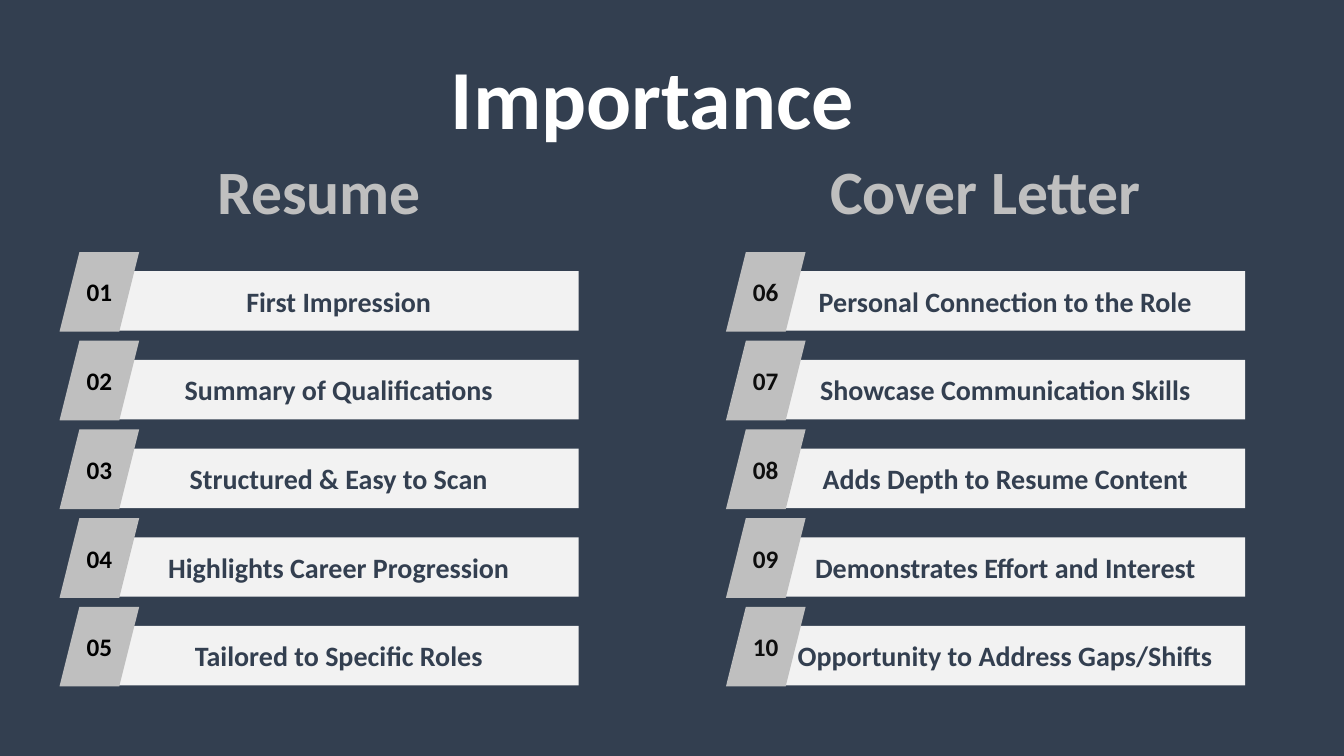
from pptx import Presentation
from pptx.dml.color import RGBColor
from pptx.enum.shapes import MSO_SHAPE
from pptx.enum.text import MSO_ANCHOR, MSO_AUTO_SIZE, PP_ALIGN
from pptx.util import Inches, Pt

# Content: heading, left edge, number colour, points
TITLE = "Importance"
COLUMNS = [
    ("Resume", 0.59, "000000", [
        "First Impression",
        "Summary of Qualifications",
        "Structured & Easy to Scan",
        "Highlights Career Progression",
        "Tailored to Specific Roles",
    ]),
    ("Cover Letter", 7.2, "0D0D0D", [
        "Personal Connection to the Role",
        "Showcase Communication Skills",
        "Adds Depth to Resume Content",
        "Demonstrates Effort and Interest",
        "Opportunity to Address Gaps/Shifts",
    ]),
]

# Colours and measures in inches
NAVY, SILVER, PALE, WHITE = "333F50", "BFBFBF", "F2F2F2", "FFFFFF"
COLUMN_WIDTH = 5.15
FIRST_ROW, ROW_STEP = 2.5, 0.88
TAG_SIZE = 0.79
BAR_INDENT, BAR_DROP, BAR_WIDTH, BAR_HEIGHT = 0.39, 0.19, 4.76, 0.59


def color(value):
    return RGBColor.from_string(value)


def write(shape, text, size, text_color, anchor):
    frame = shape.text_frame
    frame.text = text
    frame.word_wrap = True
    frame.auto_size = MSO_AUTO_SIZE.NONE
    frame.vertical_anchor = anchor
    paragraph = frame.paragraphs[0]
    paragraph.alignment = PP_ALIGN.CENTER
    font = paragraph.font
    font.name, font.size, font.bold = "Calibri", Pt(size), True
    font.color.rgb = color(text_color)


def add_block(group, kind, box, fill, text, size, text_color):
    shape = group.shapes.add_shape(kind, *map(Inches, box))
    shape.shadow.inherit = False
    shape.fill.solid()
    shape.fill.fore_color.rgb = color(fill)
    shape.line.fill.background()
    shape.text_frame.margin_left = shape.text_frame.margin_right = 0
    write(shape, text, size, text_color, MSO_ANCHOR.MIDDLE)


def add_point(slide, left, top, number, text, number_color):
    group = slide.shapes.add_group_shape()
    bar = (left + BAR_INDENT, top + BAR_DROP, BAR_WIDTH, BAR_HEIGHT)
    add_block(group, MSO_SHAPE.RECTANGLE, bar, PALE, text, 20, NAVY)
    tag = (left, top, TAG_SIZE, TAG_SIZE)
    add_block(group, MSO_SHAPE.PARALLELOGRAM, tag, SILVER, f"{number:02}", 18, number_color)


def main():
    presentation = Presentation()
    presentation.slide_width, presentation.slide_height = Inches(13.33), Inches(7.5)
    slide = presentation.slides.add_slide(presentation.slide_layouts[5])
    slide.background.fill.solid()
    slide.background.fill.fore_color.rgb = color(NAVY)

    # Title
    title = slide.shapes.title
    title.left, title.top = Inches(0.59), Inches(0.4)
    title.width, title.height = Inches(11.76), Inches(1.11)
    write(title, TITLE, 60, WHITE, MSO_ANCHOR.TOP)

    # Two columns of numbered points
    number = 1
    for heading, left, number_color, points in COLUMNS:
        box = slide.shapes.add_textbox(
            Inches(left), Inches(1.47), Inches(COLUMN_WIDTH), Inches(0.84))
        write(box, heading, 44, SILVER, MSO_ANCHOR.TOP)
        for row, text in enumerate(points):
            add_point(slide, left, FIRST_ROW + row * ROW_STEP, number, text, number_color)
            number += 1

    presentation.save("out.pptx")


if __name__ == "__main__":
    main()
